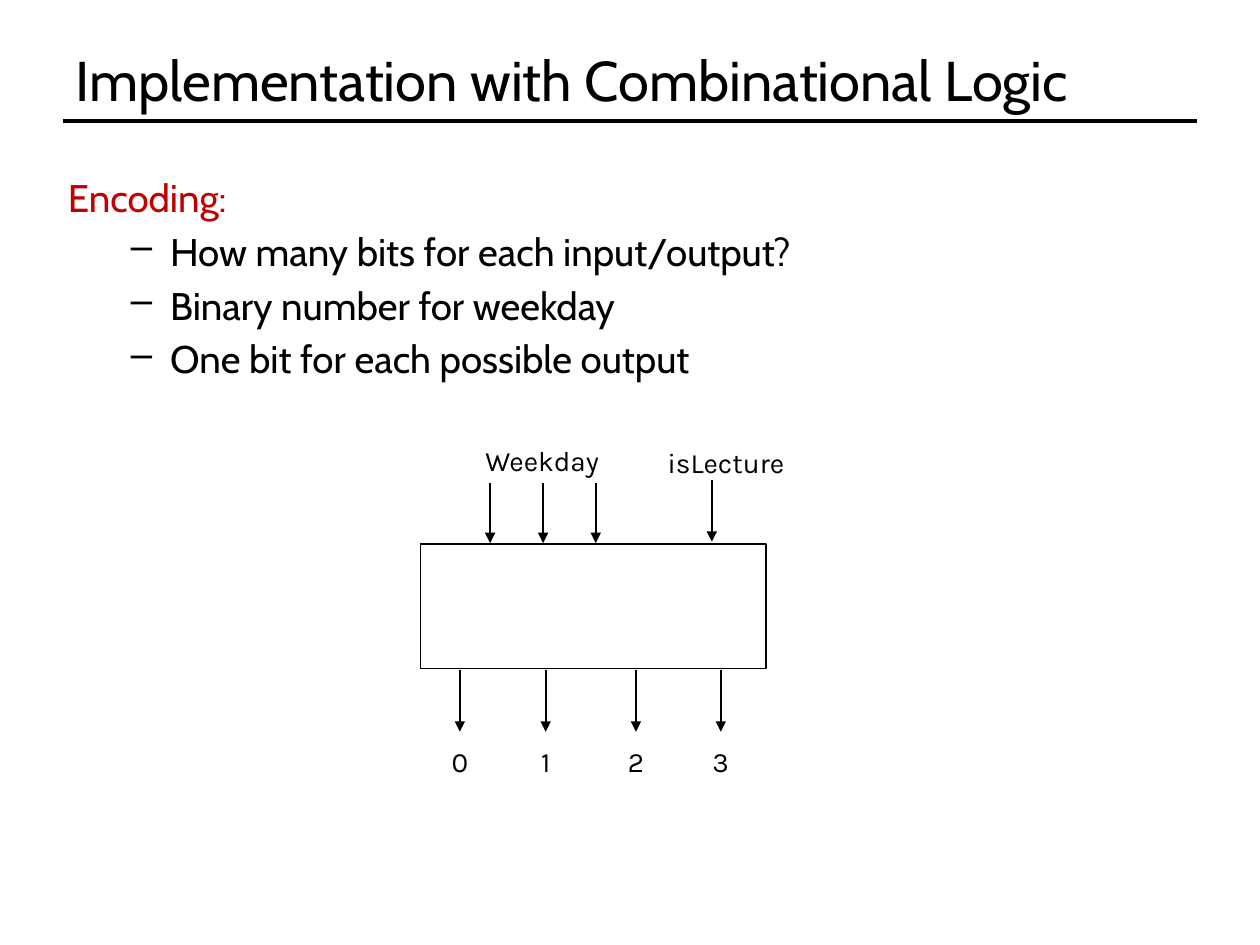
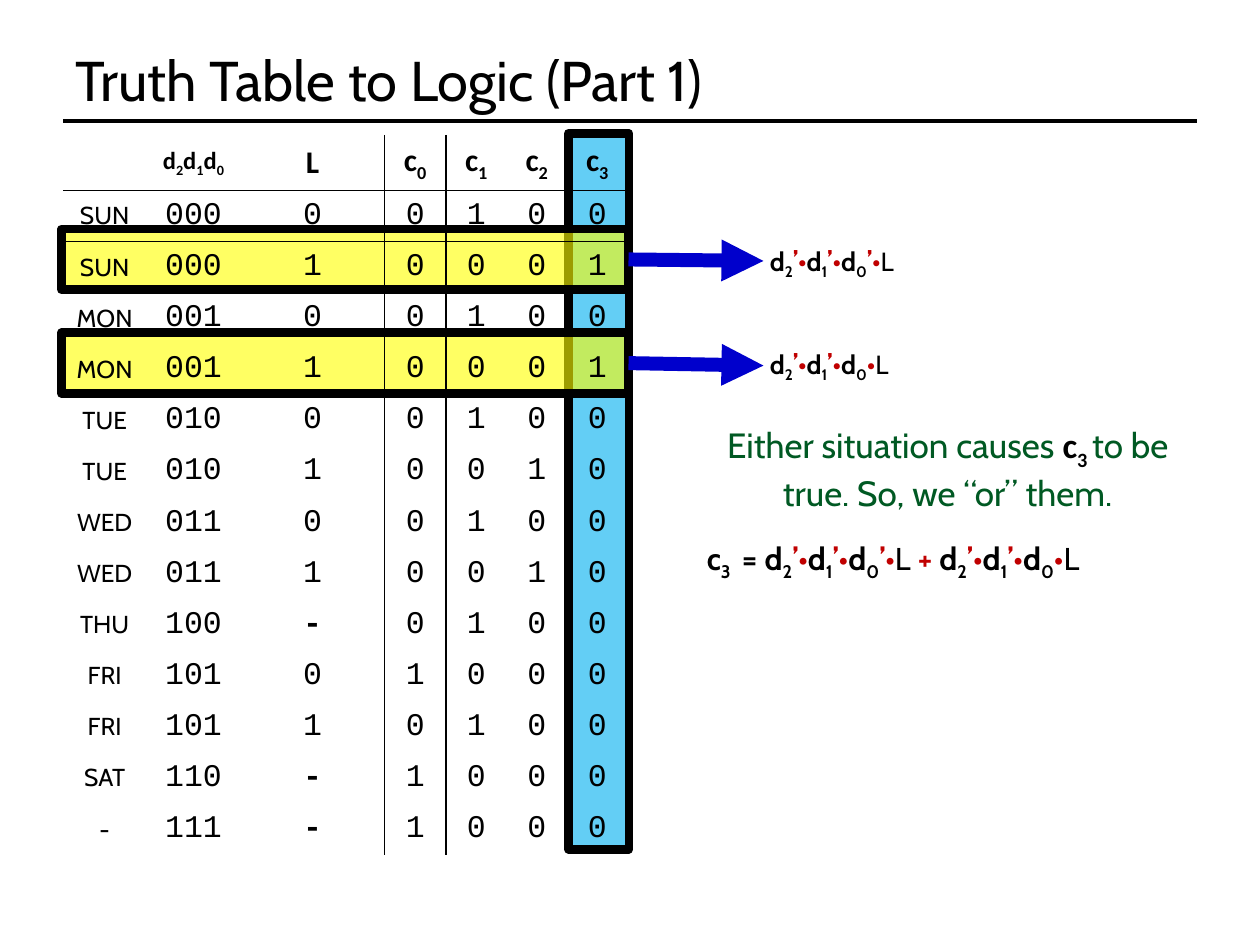
from lxml import etree
from pptx import Presentation
from pptx.dml.color import RGBColor
from pptx.enum import shapes, text
from pptx.oxml import ns
from pptx.util import Cm, Pt

BLACK = RGBColor(0, 0, 0)
RED = RGBColor(0xC0, 0, 0)
GREEN = RGBColor(0, 0x59, 0x23)
BLUE = RGBColor(0, 0, 0xCC)
SKY = RGBColor(0, 0xB0, 0xF0)
YELLOW = RGBColor(0xFF, 0xFF, 0)
MID = text.PP_ALIGN.CENTER
RECT = shapes.MSO_SHAPE.RECTANGLE
TITLES = ["Implementation with Combinational Logic", "Truth Table to Logic (Part 1)"]


def line(page, x1, y1, x2, y2, color=BLACK, width=1, head=True):
    link = page.shapes.add_connector(
        shapes.MSO_CONNECTOR.STRAIGHT, Cm(x1), Cm(y1), Cm(x2), Cm(y2))
    link.line.color.rgb = color
    link.line.width = Pt(width)
    if head:
        etree.SubElement(link.line._ln, ns.qn("a:tailEnd"), type="triangle")
    etree.SubElement(link._element.spPr, ns.qn("a:effectLst"))
    return link


def note(page, x, y, w, h, words="", size=18, face="Cabin", align=None):
    frame = page.shapes.add_textbox(Cm(x), Cm(y), Cm(w), Cm(h)).text_frame
    frame.word_wrap = True
    par = frame.paragraphs[0]
    par.text = words
    par.alignment = align
    par.font.size = Pt(size)
    par.font.name = face
    par.font.color.rgb = BLACK
    return frame


deck = Presentation()
deck.slide_width, deck.slide_height = Cm(25.4), Cm(19.05)
pages = []
for title in TITLES:
    page = deck.slides.add_slide(deck.slide_layouts[6])
    line(page, 1.27, 2.44, 24.13, 2.44, width=2, head=False)
    frame = note(page, 1.27, 0.76, 22.86, 1.68, title, 32)
    frame.vertical_anchor = text.MSO_ANCHOR.MIDDLE
    pages.append(page)
design, truth = pages

frame = note(design, 1.12, 3.38, 22.86, 12.57, "Encoding:", 22)
frame.paragraphs[0].font.color.rgb = RED
frame.paragraphs[0].space_before = Pt(4.4)
for item in ["How many bits for each input/output?",
             "Binary number for weekday",
             "One bit for each possible output"]:
    par = frame.add_paragraph()
    par.text = item
    par.space_before = Pt(4.4)
    par.font.size = Pt(22)
    par.font.name = "Cabin"
    par.font.color.rgb = BLACK
    prop = par._p.get_or_add_pPr()
    prop.set("marL", str(Cm(2.06)))
    prop.set("indent", str(-Cm(0.79)))
    dash = etree.Element(ns.qn("a:buChar"), char="–")
    prop.find(ns.qn("a:defRPr")).addprevious(dash)

block = design.shapes.add_shape(RECT, Cm(8.48), Cm(10.97), Cm(6.96), Cm(2.51))
block.shadow.inherit = False
block.fill.background()
block.line.color.rgb = BLACK
block.line.width = Pt(1)
for x in (9.88, 10.95, 12.01):
    line(design, x, 9.73, x, 10.95)
line(design, 14.35, 9.68, 14.35, 10.92)

labels = [(13.41, 8.81, 4.04, "isLecture", None), (8.43, 8.76, 5, "Weekday", MID)]
for bit, x in enumerate((9.27, 11, 12.82, 14.53)):
    line(design, x, 13.5, x, 14.75)
    labels.append((x - 1.6, 14.84, 3.2, str(bit), MID))
for x, y, w, words, align in labels:
    frame = note(design, x, y, w, 1.12, words, 16, "Karla", align)
    frame.margin_left = frame.margin_right = Cm(0.05)
    frame.margin_top = frame.margin_bottom = Cm(0.08)
    frame.paragraphs[0].line_spacing = Pt(22)

bands = []
for x, y, w, h, color in [(11.46, 2.69, 1.22, 14.43, SKY),
                          (1.24, 4.62, 11.43, 1.22, YELLOW),
                          (1.24, 6.71, 11.43, 1.22, YELLOW)]:
    band = truth.shapes.add_shape(RECT, Cm(x), Cm(y), Cm(w), Cm(h))
    band.shadow.inherit = False
    band.fill.solid()
    band.fill.fore_color.rgb = color
    tint = band._element.spPr.find(ns.qn("a:solidFill"))[0]
    etree.SubElement(tint, ns.qn("a:alpha"), val="61000")
    band.line.color.rgb = BLACK
    band.line.width = Pt(5)
    etree.SubElement(band.line._ln, ns.qn("a:round"))
    bands.append(band)

ROWS = """_ d_2d_1d_0 L c_0 c_1 c_2 c_3
SUN 000 0 0 1 0 0
SUN 000 1 0 0 0 1
MON 001 0 0 1 0 0
MON 001 1 0 0 0 1
TUE 010 0 0 1 0 0
TUE 010 1 0 0 1 0
WED 011 0 0 1 0 0
WED 011 1 0 0 1 0
THU 100 - 0 1 0 0
FRI 101 0 1 0 0 0
FRI 101 1 0 1 0 0
SAT 110 - 1 0 0 0
- 111 - 1 0 0 0""".splitlines()
WIDTHS = [1.68, 1.9, 2.9, 1.24, 1.22, 1.22, 1.22]
grid = truth.shapes.add_table(
    len(ROWS), len(WIDTHS), Cm(1.27), Cm(2.72), Cm(sum(WIDTHS)), Cm(14.42)).table
grid.first_row = grid.horz_banding = False
style = grid._tbl.tblPr.find(ns.qn("a:tableStyleId"))
style.text = "{2D5ABB26-0587-4C30-8999-92F81FD0307C}"
for col, w in zip(grid.columns, WIDTHS):
    col.width = Cm(w)

terms = []
for r, row in enumerate(ROWS):
    grid.rows[r].height = Cm(1.03)
    for c, word in enumerate(row.split()):
        cell = grid.cell(r, c)
        cell.vertical_anchor = text.MSO_ANCHOR.MIDDLE
        cell.margin_left = cell.margin_right = Cm(0.1)
        for side, shown in (("lnR", c in (2, 3)), ("lnB", r in (0, 1))):
            if shown:
                edge = etree.SubElement(
                    cell._tc.get_or_add_tcPr(), ns.qn("a:" + side), w=str(Pt(1)))
                ink = etree.SubElement(edge, ns.qn("a:solidFill"))
                etree.SubElement(ink, ns.qn("a:srgbClr"), val=str(BLACK))
        cell.fill.background()
        par = cell.text_frame.paragraphs[0]
        par.alignment = MID
        if r == 0:
            size = 14 if c == 1 else 18
            par.font.size = Pt(size)
            if c:
                terms.append((par, word, size, size, "Calibri", ""))
            continue
        par.text = word
        par.font.size = Pt(18 if c else 14)
        par.font.name = "Courier New" if c else "Cabin"
        par.font.bold = c == 2 and word == "-"
        par.font.color.rgb = BLACK

for band, y in zip(bands[1:], (5.26, 7.37)):
    arrow = line(truth, 12.67, y - 0.03, 15.39, y, BLUE, 8)
    arrow.begin_connect(band, 3)

frame = note(truth, 13.67, 8.41, 10.87, 1.96, size=20, align=MID)
for words, face, color, sub in [("Either situation causes ", "Cabin", GREEN, False),
                                ("c", "Calibri", BLACK, False),
                                ("3 ", "Calibri", BLACK, True),
                                ("to be true. So, we “or” them.", "Cabin", GREEN, False)]:
    run = frame.paragraphs[0].add_run()
    run.text = words
    run.font.size = Pt(20)
    run.font.name = face
    run.font.bold = face == "Calibri"
    run.font.color.rgb = color
    if sub:
        run.font._element.set("baseline", "-25000")

SUN = "d_2’•d_1’•d_0’•L"
MON = "d_2’•d_1’•d_0•L"
for x, y, code, size, mark in [(15.27, 4.78, SUN, 15, 16),
                               (15.27, 6.86, MON, 15, 16),
                               (14, 10.74, f"c_3_  = {SUN} + {MON}", 18, 18)]:
    frame = note(truth, x, y, 10.13, 0.91, size=size)
    terms.append((frame.paragraphs[0], code, size, mark, "Cabin", "•L"))

for par, code, size, mark, face, plain in terms:
    for prior, sign in zip(" " + code, code):
        if sign == "_":
            continue
        run = par.add_run()
        run.text = sign
        red = sign in "’•+"
        run.font.size = Pt(mark if red else size)
        run.font.name = face
        run.font.bold = sign not in plain
        run.font.color.rgb = RED if red else BLACK
        if prior == "_":
            run.font._element.set("baseline", "-25000")

deck.save("out.pptx")
